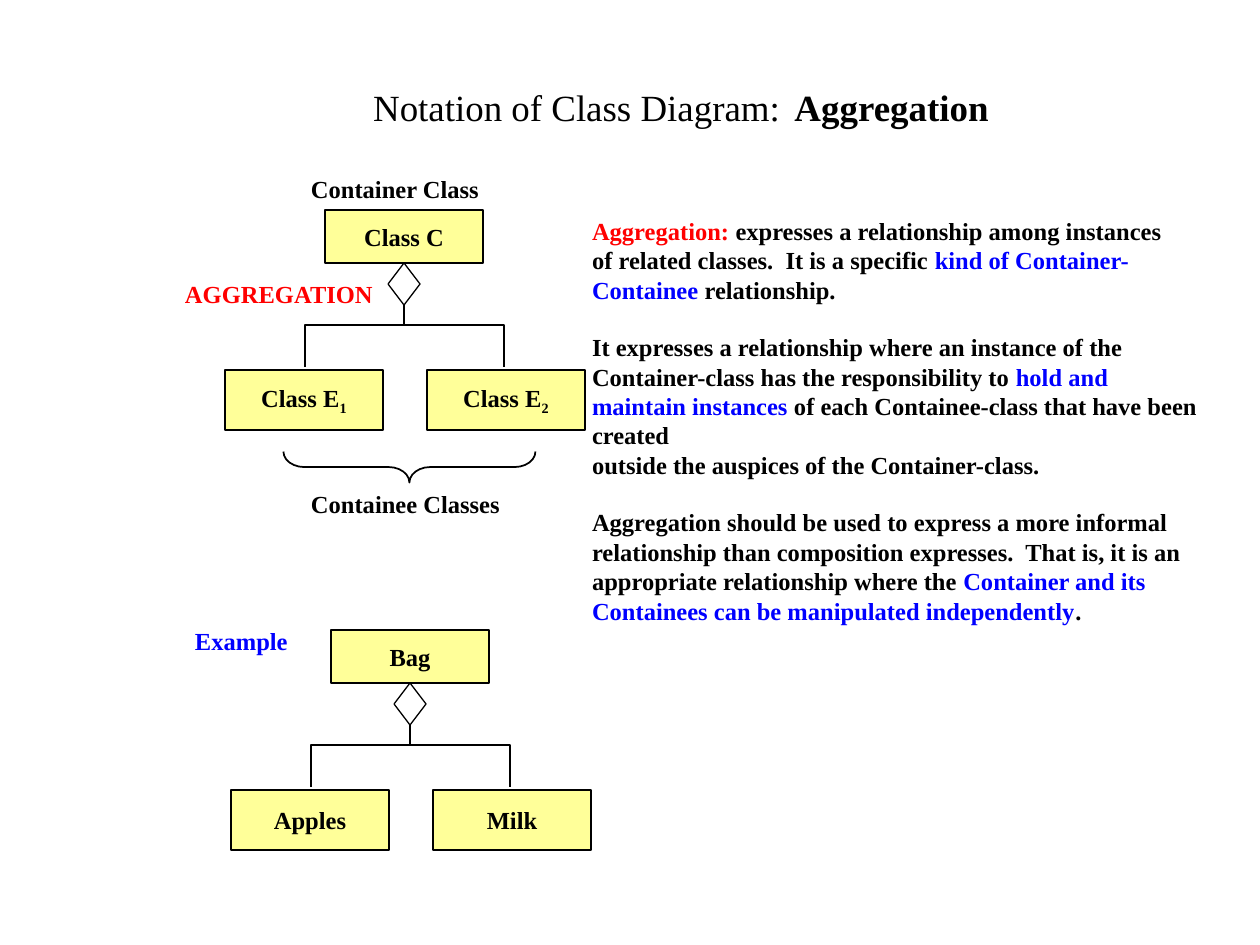
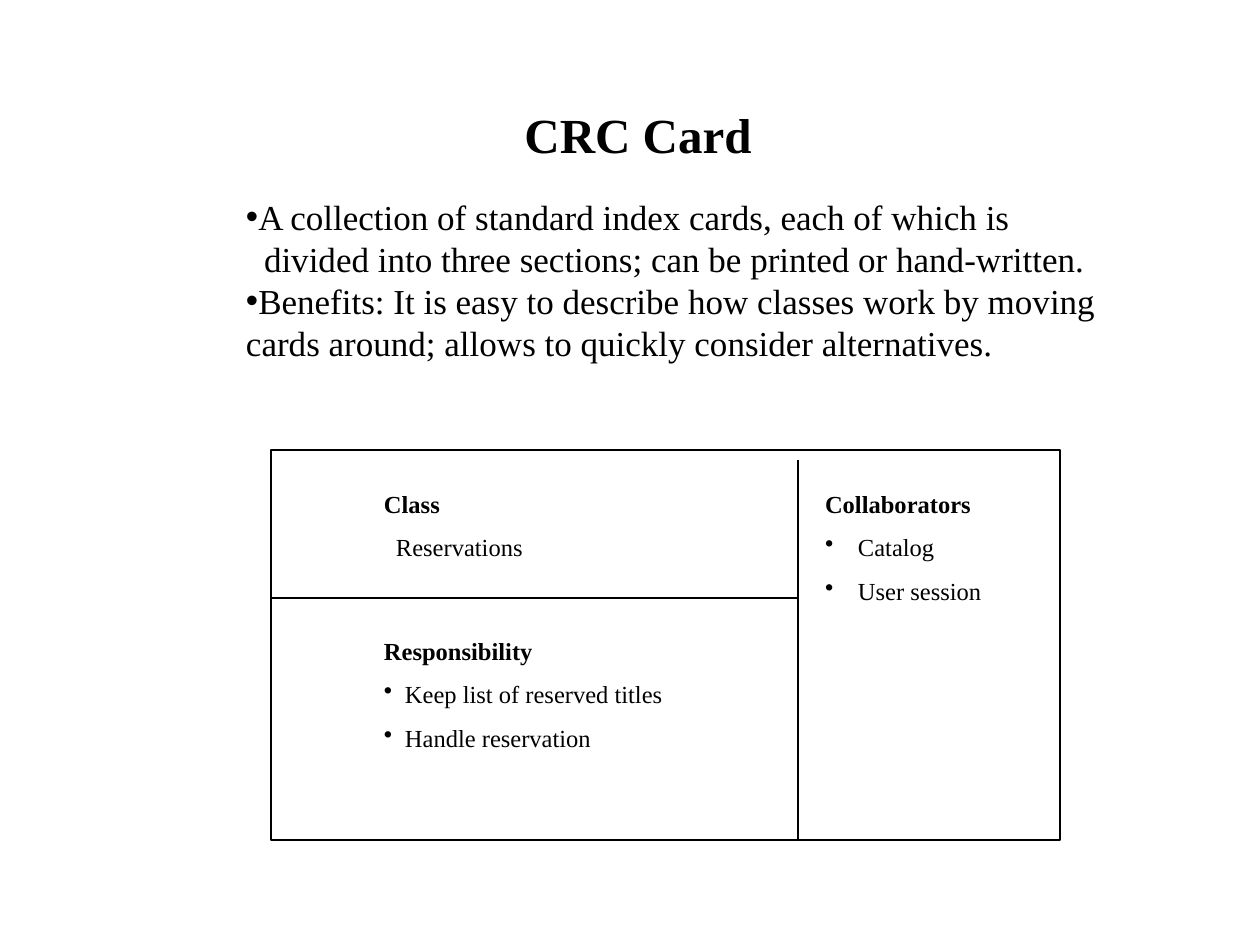
from lxml.etree import SubElement
from pptx import Presentation
from pptx.dml.color import RGBColor
from pptx.enum.shapes import MSO_CONNECTOR, MSO_SHAPE as Shape
from pptx.enum.text import MSO_ANCHOR as Anchor, MSO_AUTO_SIZE, PP_ALIGN as Align
from pptx.oxml.ns import qn
from pptx.util import Pt

SCALE = 914400 / 126
FONT = "Times New Roman"
INSET = 6
COLORS = {"ink": "000000", "red": "FF0000", "blue": "0000FF", "class": "FFFF99"}


def px(value):
    return round(value * SCALE)


def color(name):
    return RGBColor.from_string(COLORS[name])


def place(shape, left, top, width, height):
    shape.left, shape.top = px(left), px(top)
    shape.width, shape.height = px(width), px(height)


def prepare_frame(shape, anchor):
    frame = shape.text_frame
    frame.word_wrap = True
    frame.auto_size = MSO_AUTO_SIZE.NONE
    frame.vertical_anchor = anchor
    frame.margin_left = frame.margin_right = px(INSET)
    frame.margin_top = frame.margin_bottom = px(INSET)
    return frame


def style_span(span, size=14, bold=False, ink="ink"):
    span.font.name = FONT
    span.font.size = Pt(size)
    span.font.bold = bold
    span.font.color.rgb = color(ink)


def add_spans(para, pieces, size=14, bold=False):
    for text, ink in pieces:
        span = para.add_run()
        span.text = text
        style_span(span, size, bold, ink)


def set_indent(para, bullet=False, margin=0, hanging=0):
    props = para._p.get_or_add_pPr()
    props.set("marL", str(px(margin)))
    props.set("indent", str(-px(hanging)))
    if bullet:
        SubElement(props, qn("a:buChar")).set("char", "•")
    else:
        SubElement(props, qn("a:buNone"))


def next_para(frame, index):
    return frame.add_paragraph() if index else frame.paragraphs[0]


def outline(shape, weight, fill=None):
    shape.shadow.inherit = False
    shape.line.color.rgb = color("ink")
    shape.line.width = Pt(weight)
    if fill:
        shape.fill.solid()
        shape.fill.fore_color.rgb = color(fill)
    else:
        shape.fill.background()


def add_outlined(page, kind, box, weight=0.75, fill=None):
    shape = page.shapes.add_shape(kind, *map(px, box))
    outline(shape, weight, fill)
    return shape


def add_line(page, start, end, weight):
    line = page.shapes.add_connector(MSO_CONNECTOR.STRAIGHT, *map(px, start + end))
    line.line.color.rgb = color("ink")
    line.line.width = Pt(weight)
    SubElement(line._element.spPr, qn("a:effectLst"))


def add_label(page, text, box, ink="ink"):
    label = page.shapes.add_textbox(*map(px, box))
    frame = prepare_frame(label, Anchor.TOP)
    frame.text = text
    style_span(frame.paragraphs[0].runs[0], bold=True, ink=ink)


def set_title(page, box, pieces, anchor, shift=0):
    title = page.shapes.title
    place(title, *box)
    frame = prepare_frame(title, anchor)
    frame.margin_left = px(INSET + shift)
    para = frame.paragraphs[0]
    para.alignment = Align.CENTER
    for text, size, bold in pieces:
        span = para.add_run()
        span.text = text
        style_span(span, size, bold)


def get_body(page, box):
    body = page.placeholders[1]
    place(body, *box)
    return prepare_frame(body, Anchor.TOP)


def add_class_box(page, name, subscript, box):
    shape = add_outlined(page, Shape.RECTANGLE, box, fill="class")
    frame = prepare_frame(shape, Anchor.MIDDLE)
    para = frame.paragraphs[0]
    para.alignment = Align.CENTER
    add_spans(para, [(name, "ink")], bold=True)
    if subscript:
        add_spans(para, [(subscript, "ink")], bold=True)
        para.runs[1].font._element.set("baseline", "-25000")


def add_aggregation_tree(page, left, top, container, containees):
    width, height = 158, 53
    middle = left + width // 2
    bar_top = top + 115
    add_class_box(page, container, "", (left, top, width, height))
    for (name, subscript), offset in zip(containees, (-100, 102)):
        add_class_box(page, name, subscript, (left + offset, top + 160, width, 60))
    add_outlined(page, Shape.DIAMOND, (middle - 16, top + height, 32, 42))
    add_line(page, (middle, top + height + 42), (middle, bar_top), 0.75)
    fork_left, fork_right = left - 20, left + 179
    builder = page.shapes.build_freeform(fork_left, bar_top + 42, scale=SCALE)
    builder.add_line_segments(
        [(fork_left, bar_top), (fork_right, bar_top), (fork_right, bar_top + 42)],
        close=False)
    outline(builder.convert_to_shape(), 0.75)


def add_definition(page, box):
    lines = [
        (0, [("Aggregation: ", "red"), ("expresses a relationship among instances", "ink")]),
        (0, [("of related classes.  It is a specific ", "ink"),
             ("kind of Container-Containee", "blue"), (" relationship.", "ink")]),
        (16, [("It expresses a relationship where an instance of the", "ink")]),
        (0, [("Container-class has the responsibility to ", "ink"),
             ("hold and maintain instances", "blue"),
             (" of each Containee-class that have been created", "ink")]),
        (0, [("outside the auspices of the Container-class.", "ink")]),
        (16, [("Aggregation should be used to express a more informal", "ink")]),
        (0, [("relationship than composition expresses.  That is, it is an", "ink")]),
        (0, [("appropriate relationship where the ", "ink"), ("Container and its", "blue")]),
        (0, [("Containees can be manipulated independently", "blue"), (".", "ink")]),
    ]
    frame = get_body(page, box)
    for index, (gap, pieces) in enumerate(lines):
        para = next_para(frame, index)
        set_indent(para)
        para.space_before = Pt(gap)
        add_spans(para, pieces, bold=True)


def build_aggregation(deck):
    page = deck.slides.add_slide(deck.slide_layouts[1])
    set_title(page, (136, 63, 1090, 73),
              [("Notation of Class Diagram:", 21.1, False), (" ", 31.7, False),
               ("Aggregation", 21.1, True)], Anchor.MIDDLE)
    add_definition(page, (586, 210, 622, 488))
    add_aggregation_tree(page, 325, 210, "Class C", [("Class E", "1"), ("Class E", "2")])
    add_aggregation_tree(page, 331, 630, "Bag", [("Apples", ""), ("Milk", "")])
    add_label(page, "AGGREGATION", (179, 273, 206, 39), "red")
    add_label(page, "Container Class", (305, 168, 186, 39))
    add_label(page, "Containee Classes", (305, 483, 208, 39))
    add_label(page, "Example", (189, 620, 112, 39), "blue")
    brace = add_outlined(page, Shape.LEFT_BRACE, (394, 341, 31, 252), 1)
    brace.adjustments[0] = 0.67
    brace.rotation = 270


def add_card_section(page, box, heading, items, bullet, margin):
    section = page.shapes.add_textbox(*map(px, box))
    frame = prepare_frame(section, Anchor.TOP)
    for index, text in enumerate([heading] + items):
        para = next_para(frame, index)
        para.text = text
        if index:
            set_indent(para, bullet, margin, margin if bullet else 0)
            para.space_before = Pt(8)
        style_span(para.runs[0], bold=index == 0)


def add_crc_card(page, left, top, width, height):
    divider, split = left + 527, top + 148
    add_outlined(page, Shape.RECTANGLE, (left, top, width, height), 1)
    add_line(page, (divider, top + 10), (divider, top + height), 1)
    add_line(page, (left, split), (divider, split), 1)
    add_card_section(page, (left + 107, top + 33, 378, 82), "Class",
                     ["Reservations"], False, 12)
    add_card_section(page, (left + 107, top + 180, 388, 125), "Responsibility",
                     ["Keep list of reserved titles", "Handle reservation"], True, 21)
    add_card_section(page, (left + 548, top + 33, 210, 125), "Collaborators",
                     ["Catalog", "User session"], True, 33)


def build_crc(deck):
    page = deck.slides.add_slide(deck.slide_layouts[1])
    set_title(page, (95, 21, 946, 148), [("CRC Card", 28, True)], Anchor.BOTTOM, 140)
    frame = get_body(page, (240, 189, 898, 252))
    points = [
        ("A collection of standard index cards, each of which is", True, 0),
        ("divided into three sections; can be printed or hand-written.", False, 18),
        ("Benefits: It is easy to describe how classes work by moving cards around; "
         "allows to quickly consider alternatives.", True, 0),
    ]
    for index, (text, bullet, margin) in enumerate(points):
        para = next_para(frame, index)
        para.text = text
        set_indent(para, bullet, margin)
        para.space_before = Pt(0)
        style_span(para.runs[0], 20)
    add_crc_card(page, 271, 450, 789, 390)


def main():
    deck = Presentation()
    deck.slide_width, deck.slide_height = px(1260), px(945)
    build_aggregation(deck)
    build_crc(deck)
    deck.save("out.pptx")


if __name__ == "__main__":
    main()
